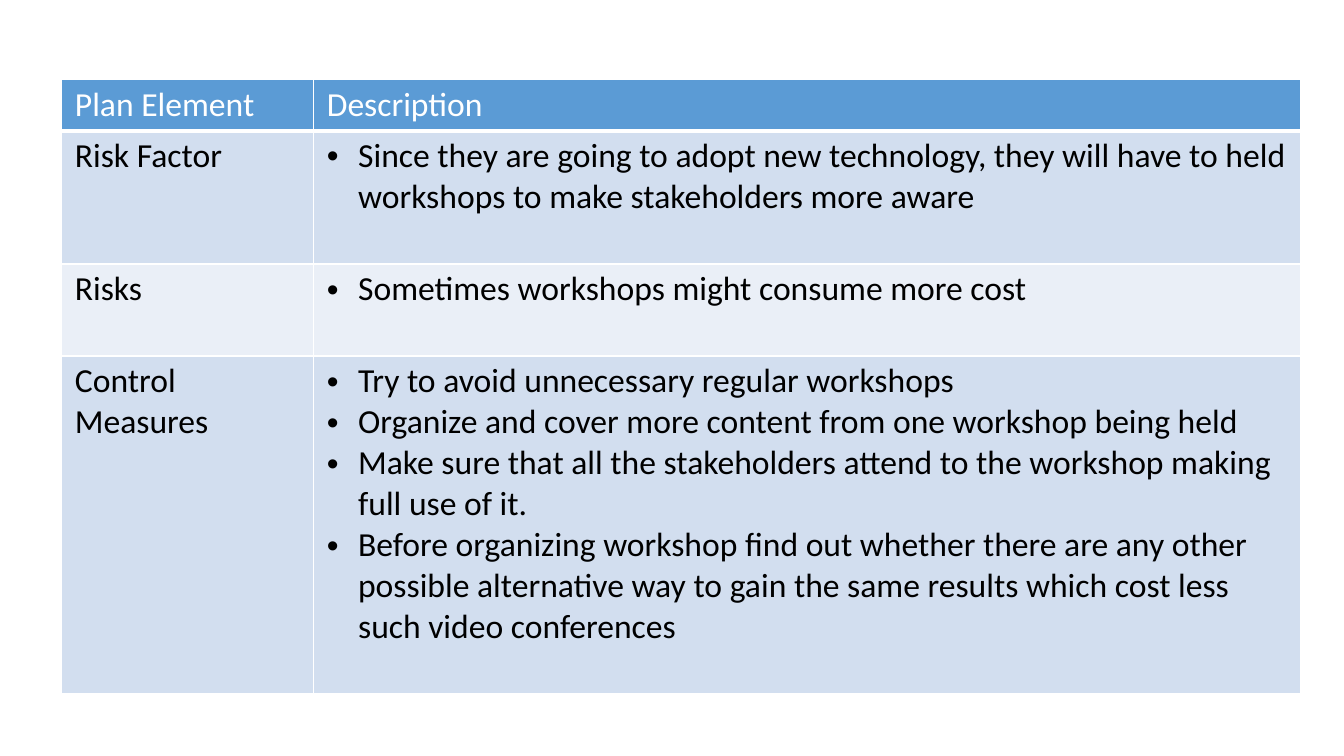
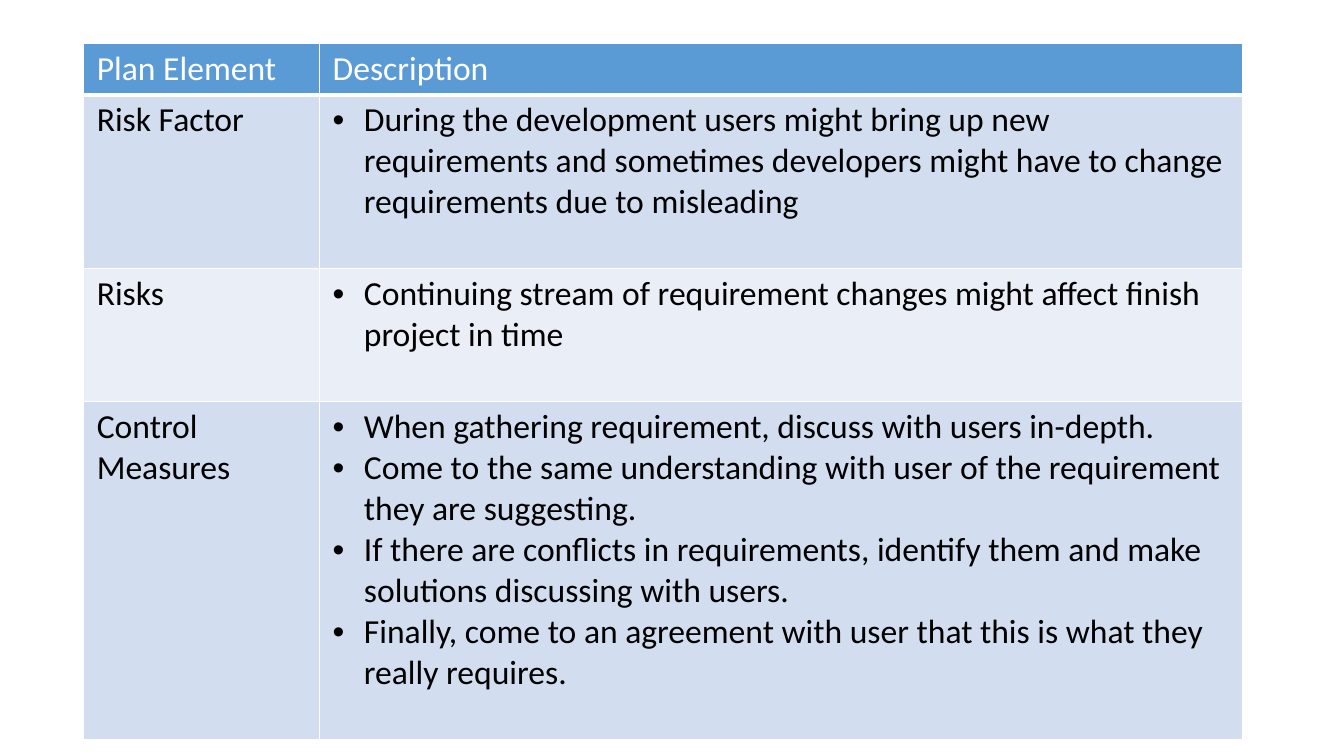
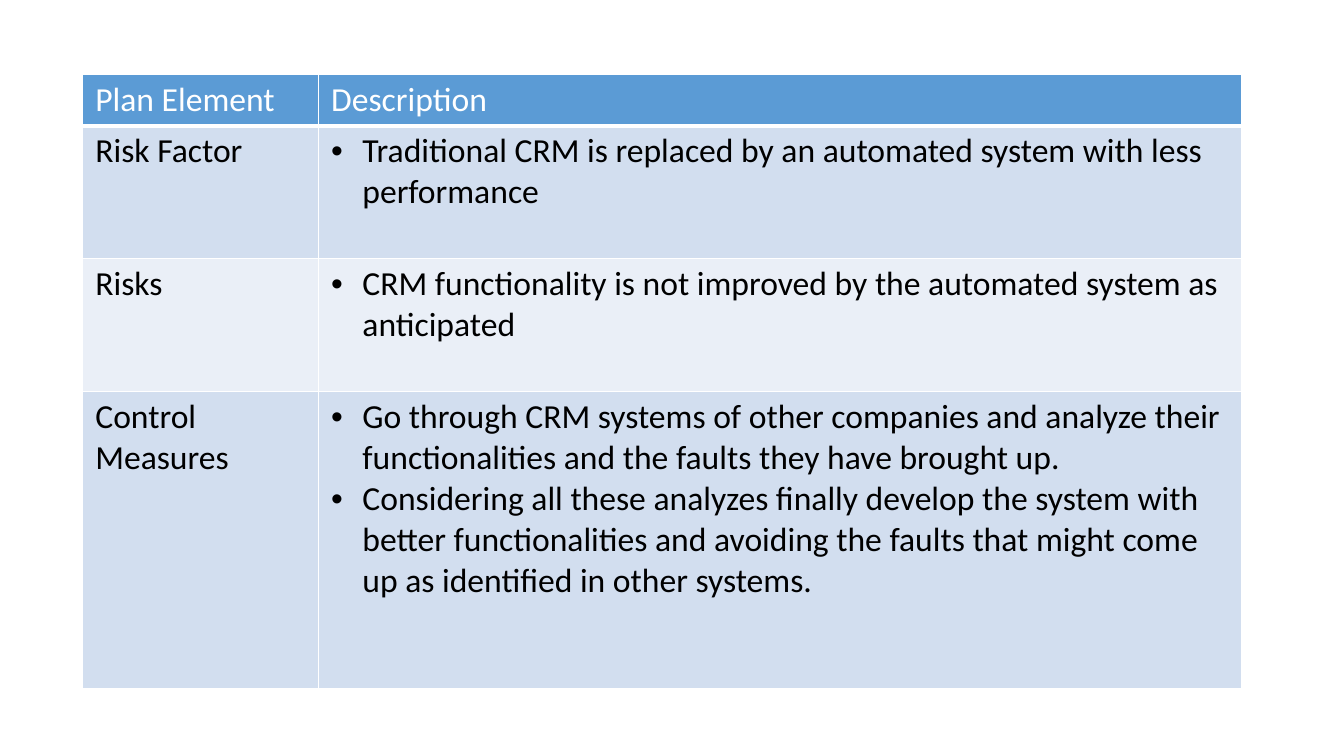
from dataclasses import dataclass

from lxml.etree import SubElement
from pptx import Presentation
from pptx.dml.color import RGBColor
from pptx.oxml.ns import qn
from pptx.slide import Slide
from pptx.table import _Cell as Cell
from pptx.util import Inches, Length, Pt

SLIDE_WIDTH = Inches(13.33)
SLIDE_HEIGHT = Inches(7.5)

WHITE = RGBColor(0xFF, 0xFF, 0xFF)
BLACK = RGBColor(0x00, 0x00, 0x00)
HEADER_BLUE = RGBColor(0x5B, 0x9B, 0xD5)
BAND_FILLS = (RGBColor(0xD2, 0xDE, 0xEF), RGBColor(0xEA, 0xEF, 0xF7))

FONT_NAME = "Calibri"
FONT_SIZE = Pt(24)
TEXT_LINE = Pt(24 * 1.22)
SIDE_MARGIN = Inches(0.13)
END_MARGIN = Inches(0.05)
BULLET_INDENT = Inches(0.31)
THIN_RULE = Pt(1)
HEADER_RULE = Pt(3)

HEADINGS = ("Plan Element", "Description")


@dataclass(frozen=True)
class PlanRow:
    element: str
    lines: int
    points: tuple[str, ...]


@dataclass(frozen=True)
class RiskPlan:
    left: float
    top: float
    columns: tuple[float, float]
    rows: tuple[PlanRow, ...]


WIDE_COLUMNS = (18.75, 73.43)
NARROW_COLUMNS = (17.55, 68.7)

PLANS = (
    RiskPlan(4.6, 10.55, WIDE_COLUMNS, (
        PlanRow("Risk Factor", 3, (
            "Since they are going to adopt new technology, they will have to held "
            "workshops to make stakeholders more aware",
        )),
        PlanRow("Risks", 2, ("Sometimes workshops might consume more cost",)),
        PlanRow("Control Measures", 8, (
            "Try to avoid unnecessary regular workshops",
            "Organize and cover more content from one workshop being held",
            "Make sure that all the stakeholders attend to the workshop making "
            "full use of it.",
            "Before organizing workshop find out whether there are any other "
            "possible alternative way to gain the same results which cost less "
            "such video conferences",
        )),
    )),
    RiskPlan(6.23, 5.77, NARROW_COLUMNS, (
        PlanRow("Risk Factor", 4, (
            "During the development users might bring up new requirements and "
            "sometimes developers might have to change requirements due to misleading",
        )),
        PlanRow("Risks", 3, (
            "Continuing stream of requirement changes might affect finish "
            "project in time",
        )),
        PlanRow("Control Measures", 8, (
            "When gathering requirement, discuss with users in-depth.",
            "Come to the same understanding with user of the requirement they "
            "are suggesting.",
            "If there are conflicts in requirements, identify them and make "
            "solutions discussing with users.",
            "Finally, come to an agreement with user that this is what they "
            "really requires.",
        )),
    )),
    RiskPlan(6.12, 9.87, NARROW_COLUMNS, (
        PlanRow("Risk Factor", 3, (
            "Traditional CRM is replaced by an automated system with less performance",
        )),
        PlanRow("Risks", 3, (
            "CRM functionality is not improved by the automated system as anticipated",
        )),
        PlanRow("Control Measures", 7, (
            "Go through CRM systems of other companies and analyze their "
            "functionalities and the faults they have brought up.",
            "Considering all these analyzes finally develop the system with "
            "better functionalities and avoiding the faults that might come up "
            "as identified in other systems.",
        )),
    )),
)


def percent(share: float, whole: Length) -> Length:
    return Length(round(whole * share / 100))


def row_height(lines: int) -> Length:
    return Length(lines * TEXT_LINE + 2 * END_MARGIN)


def add_borders(cell: Cell, bottom: Length) -> None:
    properties = cell._tc.get_or_add_tcPr()
    rules = {"lnL": THIN_RULE, "lnR": THIN_RULE, "lnT": THIN_RULE, "lnB": bottom}
    for side, width in rules.items():
        line = SubElement(properties, qn(f"a:{side}"), w=str(int(width)))
        fill = SubElement(line, qn("a:solidFill"))
        SubElement(fill, qn("a:srgbClr"), val=str(WHITE))


def write_cell(cell: Cell, texts: tuple[str, ...], fill: RGBColor, color: RGBColor,
               bulleted: bool = False, bottom: Length = THIN_RULE) -> None:
    add_borders(cell, bottom)
    cell.fill.solid()
    cell.fill.fore_color.rgb = fill
    cell.margin_left = cell.margin_right = SIDE_MARGIN
    cell.margin_top = cell.margin_bottom = END_MARGIN
    cell.text = "\n".join(texts)
    for paragraph in cell.text_frame.paragraphs:
        if bulleted:
            properties = paragraph._p.get_or_add_pPr()
            properties.set("marL", str(int(BULLET_INDENT)))
            properties.set("indent", str(-int(BULLET_INDENT)))
            SubElement(properties, qn("a:buFont"), typeface="Arial")
            SubElement(properties, qn("a:buChar"), char="•")
        font = paragraph.font
        font.name = FONT_NAME
        font.size = FONT_SIZE
        font.color.rgb = color


def add_plan_table(slide: Slide, plan: RiskPlan) -> None:
    widths = [percent(share, SLIDE_WIDTH) for share in plan.columns]
    heights = [row_height(lines) for lines in (1, *(row.lines for row in plan.rows))]
    table = slide.shapes.add_table(
        len(heights), len(widths),
        percent(plan.left, SLIDE_WIDTH), percent(plan.top, SLIDE_HEIGHT),
        Length(sum(widths)), Length(sum(heights)),
    ).table
    table.first_row = False
    table.horz_banding = False
    for column, width in zip(table.columns, widths):
        column.width = width
    for row, height in zip(table.rows, heights):
        row.height = height

    for index, heading in enumerate(HEADINGS):
        write_cell(table.cell(0, index), (heading,), HEADER_BLUE, WHITE,
                   bottom=HEADER_RULE)
    for index, row in enumerate(plan.rows):
        fill = BAND_FILLS[index % len(BAND_FILLS)]
        write_cell(table.cell(index + 1, 0), (row.element,), fill, BLACK)
        write_cell(table.cell(index + 1, 1), row.points, fill, BLACK, bulleted=True)


def main() -> None:
    presentation = Presentation()
    presentation.slide_width = SLIDE_WIDTH
    presentation.slide_height = SLIDE_HEIGHT
    blank_layout = presentation.slide_layouts[6]
    for plan in PLANS:
        add_plan_table(presentation.slides.add_slide(blank_layout), plan)
    presentation.save("out.pptx")


if __name__ == "__main__":
    main()
